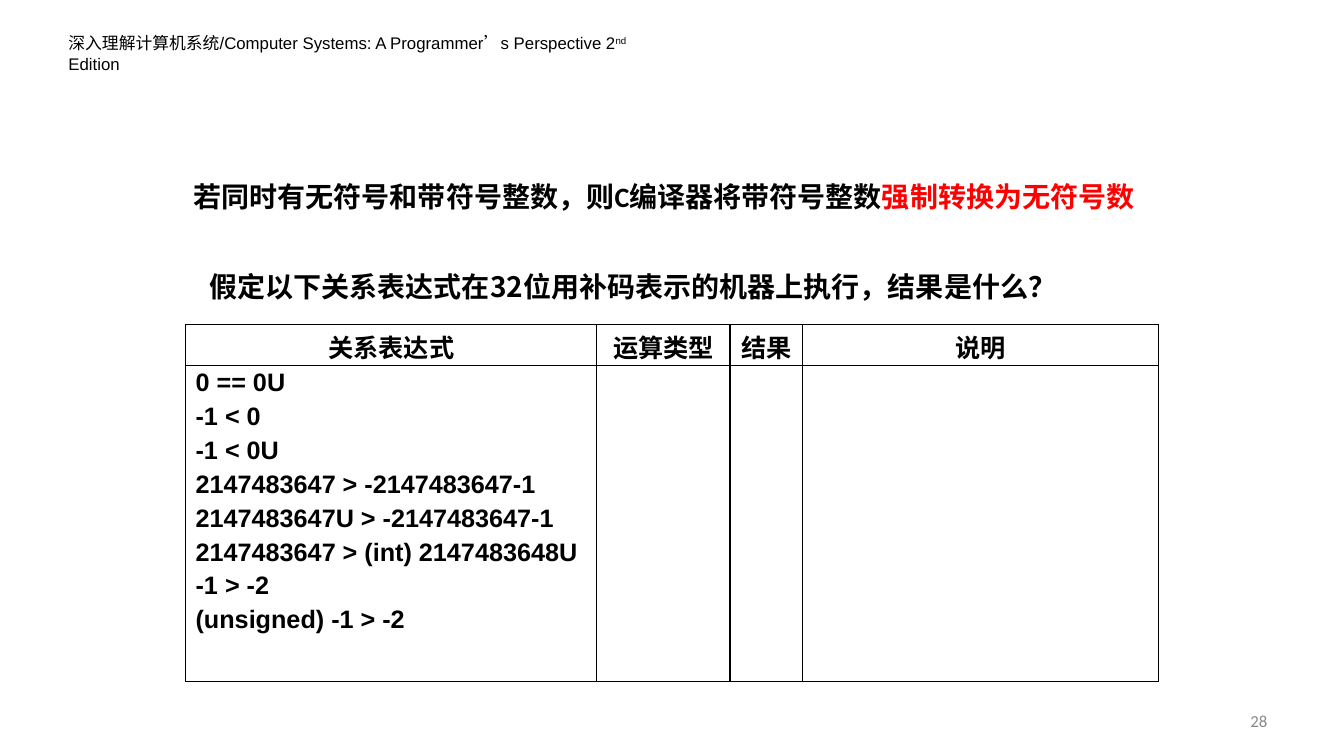
"""Build the slide on comparing signed and unsigned integers in C."""
import dataclasses

import lxml.etree
import pptx
import pptx.dml.color
import pptx.enum.text
import pptx.oxml.ns
import pptx.util
from pptx.util import Inches

ALIGN = pptx.enum.text.PP_ALIGN
ANCHOR = pptx.enum.text.MSO_ANCHOR


@dataclasses.dataclass(frozen=True)
class Theme:
    """Colours, fonts and type sizes of the slide."""
    ink: str = "000000"
    accent: str = "FF0000"
    muted: str = "898989"
    latin: str = "Arial"
    body: str = "Calibri"
    chinese: str = "Noto Sans CJK SC"
    small: int = 12
    cell: int = 18
    statement: int = 20
    cell_gap: int = 4
    border: int = 1


THEME = Theme()
HEADERS = ["关系表达式", "运算类型", "结果", "说明"]
COLUMN_WIDTHS = [4.08, 1.32, 0.72, 3.53]
ROW_HEIGHTS = [0.4, 3.14]
EXPRESSIONS = [
    "0 == 0U",
    "-1 < 0",
    "-1 < 0U",
    "2147483647 > -2147483647-1",
    "2147483647U > -2147483647-1",
    "2147483647 > (int) 2147483648U",
    "-1 > -2",
    "(unsigned) -1 > -2",
]


def add_run(paragraph, text, size, font, color=THEME.ink, bold=False, baseline=0):
    """Append one formatted run to a paragraph."""
    run = paragraph.add_run()
    run.text = text
    run.font.size = pptx.util.Pt(size)
    run.font.name = font
    run.font.bold = bold
    run.font.color.rgb = pptx.dml.color.RGBColor.from_string(color)
    properties = run._r.get_or_add_rPr()
    if baseline:
        properties.set("baseline", str(baseline * 1000))
    east_asian = lxml.etree.SubElement(properties, pptx.oxml.ns.qn("a:ea"))
    east_asian.set("typeface", THEME.chinese)


def format_frame(shape, box, anchor=ANCHOR.TOP, align=ALIGN.LEFT):
    """Place a text shape and return its first paragraph."""
    shape.left, shape.top, shape.width, shape.height = map(Inches, box)
    frame = shape.text_frame
    frame.word_wrap = True
    frame.auto_size = pptx.enum.text.MSO_AUTO_SIZE.NONE
    frame.vertical_anchor = anchor
    frame.paragraphs[0].alignment = align
    return frame.paragraphs[0]


def add_text(slide, box, **layout):
    """Add a text box and return its first paragraph."""
    return format_frame(slide.shapes.add_textbox(0, 0, 0, 0), box, **layout)


def add_borders(cell):
    """Draw a thin line on all four sides of a table cell."""
    qn = pptx.oxml.ns.qn
    properties = cell._tc.get_or_add_tcPr()
    for index, side in enumerate(("lnL", "lnR", "lnT", "lnB")):
        line = lxml.etree.Element(qn(f"a:{side}"), w=str(pptx.util.Pt(THEME.border)))
        fill = lxml.etree.SubElement(line, qn("a:solidFill"))
        lxml.etree.SubElement(fill, qn("a:srgbClr"), val=THEME.ink)
        properties.insert(index, line)


def fill_cell(cell, lines, align):
    """Write one paragraph per line into a table cell."""
    for index, text in enumerate(lines):
        frame = cell.text_frame
        paragraph = frame.add_paragraph() if index else frame.paragraphs[0]
        paragraph.alignment = align
        paragraph.space_before = pptx.util.Pt(THEME.cell_gap if index else 0)
        add_run(paragraph, text, THEME.cell, THEME.latin, bold=True)


def add_expression_table(slide):
    """Add the table of relational expressions with its blank answer columns."""
    table = slide.shapes.add_table(
        len(ROW_HEIGHTS), len(HEADERS), Inches(1.84), Inches(3.22),
        Inches(sum(COLUMN_WIDTHS)), Inches(sum(ROW_HEIGHTS))).table
    table.first_row = False
    table.horz_banding = False
    for column, width in zip(table.columns, COLUMN_WIDTHS):
        column.width = Inches(width)
    for row, height in zip(table.rows, ROW_HEIGHTS):
        row.height = Inches(height)
    for cell in table.iter_cells():
        cell.fill.background()
        cell.margin_top = Inches(0.04)
        cell.margin_bottom = 0
        add_borders(cell)
    for column, header in enumerate(HEADERS):
        fill_cell(table.cell(0, column), [header], ALIGN.CENTER)
    fill_cell(table.cell(1, 0), EXPRESSIONS, ALIGN.LEFT)


def main():
    """Assemble and save the slide."""
    presentation = pptx.Presentation()
    presentation.slide_width = Inches(13.33)
    presentation.slide_height = Inches(7.5)
    slide = presentation.slides.add_slide(presentation.slide_layouts[5])

    book = add_text(slide, (0.58, 0.28, 6.28, 0.3))
    add_run(book, "深入理解计算机系统/Computer Systems: A Programmer’s Perspective 2",
            THEME.small, THEME.latin)
    add_run(book, "nd", THEME.small, THEME.latin, baseline=30)
    add_run(book, " Edition", THEME.small, THEME.latin)

    rule = format_frame(slide.shapes.title, (1.82, 1.66, 9.77, 0.47))
    rule.line_spacing = 1.2
    add_run(rule, "若同时有无符号和带符号整数，则C编译器将带符号整数",
            THEME.statement, THEME.body, bold=True)
    add_run(rule, "强制转换为无符号数", THEME.statement, THEME.body, THEME.accent, bold=True)

    question = add_text(slide, (1.98, 2.62, 8.93, 0.43))
    add_run(question, "假定以下关系表达式在32位用补码表示的机器上执行，结果是什么？",
            THEME.statement, THEME.chinese, bold=True)

    add_expression_table(slide)

    number = add_text(slide, (9.56, 6.95, 3.11, 0.4), anchor=ANCHOR.MIDDLE, align=ALIGN.RIGHT)
    add_run(number, "28", THEME.small, THEME.body, THEME.muted)
    presentation.save("out.pptx")


if __name__ == "__main__":
    main()
